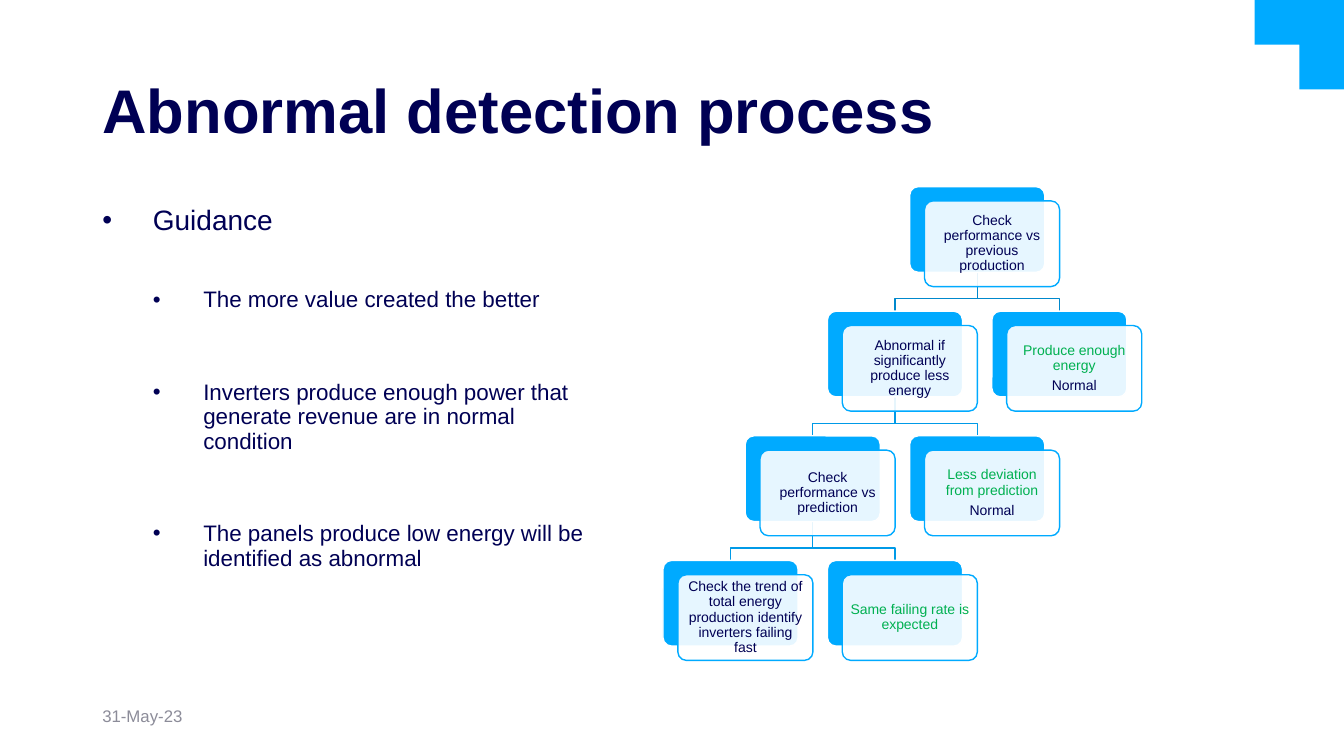
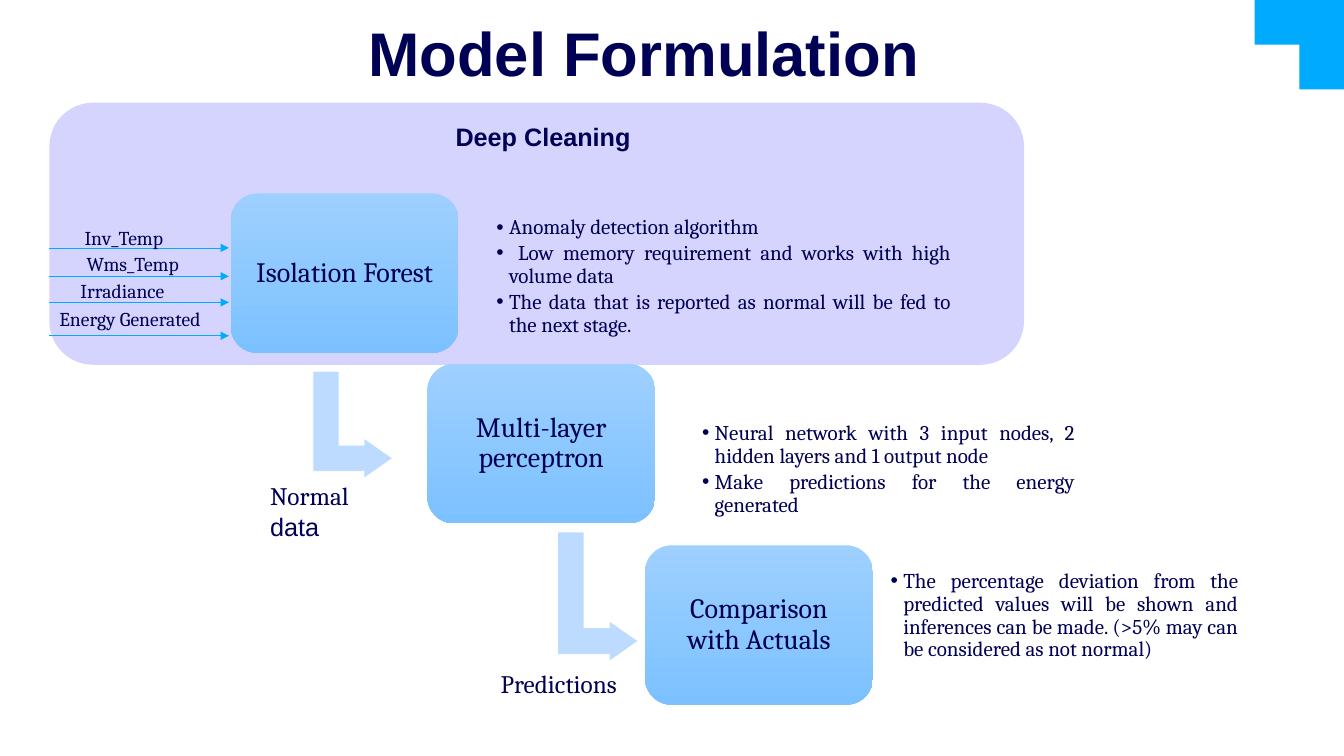
from dataclasses import dataclass

from lxml import etree
from pptx import Presentation
from pptx.dml.color import RGBColor
from pptx.enum.shapes import MSO_CONNECTOR, MSO_SHAPE
from pptx.enum.text import MSO_ANCHOR, MSO_AUTO_SIZE, PP_ALIGN
from pptx.oxml.ns import qn
from pptx.util import Pt

LEFT, CENTER, JUSTIFY = PP_ALIGN.LEFT, PP_ALIGN.CENTER, PP_ALIGN.JUSTIFY
TOP, MIDDLE = MSO_ANCHOR.TOP, MSO_ANCHOR.MIDDLE
ROUND, CORNER = MSO_SHAPE.ROUNDED_RECTANGLE, MSO_SHAPE.CORNER
BENT_ARROW = MSO_SHAPE.BENT_UP_ARROW
SLIDE_W, SLIDE_H = 960, 540
TITLE_CONTENT, TITLE_ONLY = 1, 5


@dataclass(frozen=True)
class Theme:
    ink: str = "000054"
    grey: str = "8C8C99"
    green: str = "00B050"
    white: str = "FFFFFF"
    accent: str = "00AAFF"
    root_line: str = "0088CC"
    branch_line: str = "009AE7"
    panel: str = "D4D4FF"
    stage_top: str = "9ED0FF"
    stage_end: str = "7CC1FF"
    arrow: str = "BDDAFF"
    sans: str = "Arial"
    serif: str = "Cambria"
    title: int = 44
    heading: int = 20
    label: int = 18
    body: int = 16
    detail: int = 15
    input: int = 14
    date: int = 12
    node: int = 10


T = Theme()


@dataclass(frozen=True)
class Box:
    x: float
    y: float
    w: float
    h: float

    def emu(self):
        return [Pt(v) for v in (self.x, self.y, self.w, self.h)]

    def at(self, dx, dy, w, h):
        """Box placed relative to this one's top left corner."""
        return Box(self.x + dx, self.y + dy, w, h)


def rgb(color):
    return RGBColor.from_string(color)


def apply(obj, **values):
    for name, value in values.items():
        setattr(obj, name, value)


def font(size, name=T.sans, color=T.ink, bold=False):
    return {"size": Pt(size), "name": name, "bold": bold, "color": color}


def setup_frame(tf, anchor=TOP, inset=None):
    apply(tf, word_wrap=True, auto_size=MSO_AUTO_SIZE.NONE, vertical_anchor=anchor)
    if inset is not None:
        for side in ("left", "top", "right", "bottom"):
            setattr(tf, f"margin_{side}", Pt(inset))


def write(tf, paragraphs, **layout):
    """Each paragraph is a list of (text, font) runs; layout goes to all of them."""
    for i, runs in enumerate(paragraphs):
        p = tf.add_paragraph() if i else tf.paragraphs[0]
        apply(p, **layout)
        for text, values in runs:
            r = p.add_run()
            r.text = text
            apply(r.font, **{k: v for k, v in values.items() if k != "color"})
            r.font.color.rgb = rgb(values["color"])


def set_bullet(p, left, hang):
    pPr = p._p.get_or_add_pPr()
    pPr.set("marL", str(Pt(left)))
    pPr.set("indent", str(-Pt(hang)))
    etree.SubElement(pPr, qn("a:buFont")).set("typeface", T.sans)
    etree.SubElement(pPr, qn("a:buChar")).set("char", "•")


def add_text(s, box, paragraphs, anchor=TOP, inset=None, **layout):
    tf = s.shapes.add_textbox(*box.emu()).text_frame
    setup_frame(tf, anchor, inset)
    write(tf, paragraphs, **layout)
    return tf


def set_line(shape, color, width=1):
    if color:
        shape.line.color.rgb = rgb(color)
        shape.line.width = Pt(width)
    else:
        shape.line.fill.background()


def add_shape(s, kind, box, fill, line=None, width=1, adj=(), rotation=0):
    shape = s.shapes.add_shape(kind, *box.emu())
    shape.shadow.inherit = False
    shape.rotation = rotation
    for i, value in enumerate(adj):
        shape.adjustments[i] = value
    shape.fill.solid()
    shape.fill.fore_color.rgb = rgb(fill)
    set_line(shape, line, width)
    return shape


def add_slide(prs, layout, title, box, align):
    s = prs.slides.add_slide(prs.slide_layouts[layout])
    ph = s.shapes.title
    ph.left, ph.top, ph.width, ph.height = box.emu()
    setup_frame(ph.text_frame, MIDDLE)
    write(ph.text_frame, [[(title, font(T.title, bold=True))]],
          alignment=align, line_spacing=0.9)
    add_shape(s, CORNER, Box(SLIDE_W - 63.8, 0, 63.8, 63.8), T.accent, rotation=180)
    return s


def guidance_list(s, box):
    # text, type size, left indent, space before
    items = [
        ("Guidance", T.heading, 36, 10),
        ("The more value created the better", T.body, 72, 37),
        ("Inverters produce enough power that generate revenue are in normal condition",
         T.body, 72, 49),
        ("The panels produce low energy will be identified as abnormal", T.body, 72, 49),
    ]
    ph = s.placeholders[1]
    ph.left, ph.top, ph.width, ph.height = box.emu()
    tf = ph.text_frame
    setup_frame(tf)
    write(tf, [[(text, font(size))] for text, size, _, _ in items],
          alignment=LEFT, line_spacing=0.9)
    for p, (_, _, left, before) in zip(tf.paragraphs, items):
        p.level = int(left > 36)
        p.space_before = Pt(before)
        set_bullet(p, left, 36)


def tree_node(s, box, ink_text, green_text):
    add_shape(s, ROUND, box, T.accent, T.white, adj=[0.1])
    card = add_shape(s, ROUND, box.at(10.6, 10.2, box.w, box.h), T.white, T.accent, adj=[0.1])
    color = card._element.spPr.find(".//" + qn("a:srgbClr"))
    etree.SubElement(color, qn("a:alpha")).set("val", "90000")
    setup_frame(card.text_frame, MIDDLE, 4)
    texts = [(green_text, T.green), (ink_text, T.ink)]
    write(card.text_frame, [[(t, font(T.node, color=c))] for t, c in texts if t],
          alignment=CENTER, line_spacing=0.9, space_after=Pt(3.5))


def tree_branch(s, parent, child, color):
    x1, y1 = parent.x + parent.w / 2, parent.y + parent.h
    x2, bend = child.x + child.w / 2, y1 + 18.9
    fb = s.shapes.build_freeform(Pt(x1), Pt(y1))
    points = [(x1, bend), (x2, bend), (x2, child.y)]
    fb.add_line_segments([(Pt(x), Pt(y)) for x, y in points], close=False)
    branch = fb.convert_to_shape()
    branch.shadow.inherit = False
    branch.fill.background()
    set_line(branch, color)


def decision_tree(s, box):
    # column, row, parent index, dark text, green text
    nodes = [
        (3, 0, None, "Check performance vs previous production", ""),
        (2, 1, 0, "Abnormal if significantly produce less energy", ""),
        (4, 1, 0, "Normal", "Produce enough energy"),
        (1, 2, 1, "Check performance vs prediction", ""),
        (3, 2, 1, "Normal", "Less deviation from prediction"),
        (0, 3, 3, "Check the trend of total energy production identify inverters failing fast", ""),
        (2, 3, 3, "", "Same failing rate is expected"),
    ]
    w, h = 96.5, 61.2
    dx, dy = (box.w - w) / 4, (box.h - h) / 3
    places = [box.at(col * dx, row * dy, w, h) for col, row, *_ in nodes]
    for place, (_, row, parent, *_) in zip(places, nodes):
        if parent is not None:
            tree_branch(s, places[parent], place, T.root_line if row == 1 else T.branch_line)
    for place, (*_, ink_text, green_text) in zip(places, nodes):
        tree_node(s, place, ink_text, green_text)


def process_slide(prs):
    s = add_slide(prs, TITLE_CONTENT, "Abnormal detection process",
                  Box(66, 28.8, 828, 104.4), LEFT)
    add_text(s, Box(66, 500.4, 216, 28.8), [[("31-May-23", font(T.date, color=T.grey))]],
             space_after=Pt(6))
    decision_tree(s, Box(473.6, 133.3, 331.4, 328.2))
    guidance_list(s, Box(66, 144, 368.6, 319.7))


def cleaning_panel(s, box):
    add_shape(s, ROUND, box, T.panel)
    add_text(s, box.at(283, 10, 162, 28.8), [[("Deep Cleaning", font(T.label, bold=True))]])


def model_stage(s, box, name, notes_box, notes):
    stage = add_shape(s, ROUND, box, T.stage_top)
    stage.fill.gradient()
    stage.fill.gradient_angle = 270
    for stop, color in zip(stage.fill.gradient_stops, (T.stage_top, T.stage_end)):
        stop.color.rgb = rgb(color)
    setup_frame(stage.text_frame, MIDDLE, 11)
    write(stage.text_frame, [[(name, font(T.heading, T.serif))]],
          alignment=CENTER, line_spacing=0.9, space_after=Pt(7))
    tf = add_text(s, notes_box, [[(n, font(T.detail, T.serif))] for n in notes], MIDDLE, 4,
                  alignment=JUSTIFY, line_spacing=0.9, space_after=Pt(2.25))
    for p in tf.paragraphs:
        set_bullet(p, 9, 9)


def stage_arrow(s, box, label_box, runs):
    add_shape(s, BENT_ARROW, box, T.arrow, T.white, 0.5, [0.328, 0.25, 0.358], 90)
    add_text(s, label_box, [runs])


def model_inputs(s, box):
    # label, label offset, label top, arrow height
    inputs = [
        ("Inv_Temp", 18, 0, 19.4),
        ("Wms_Temp", 19.4, 18.7, 39.6),
        ("Irradiance", 15.1, 38.2, 58.3),
        ("Energy Generated", 0, 58.3, 82.1),
    ]
    for text, dx, top, y in inputs:
        line = s.shapes.add_connector(MSO_CONNECTOR.STRAIGHT, Pt(box.x), Pt(box.y + y),
                                      Pt(box.x + box.w), Pt(box.y + y))
        set_line(line, T.accent, 0.5)
        etree.SubElement(line.line._get_or_add_ln(), qn("a:tailEnd")).set("type", "triangle")
        etree.SubElement(line._element.spPr, qn("a:effectLst"))
        add_text(s, box.at(dx, top, 123, 24.5), [[(text, font(T.input, T.serif))]])


def model_slide(prs):
    s = add_slide(prs, TITLE_ONLY, "Model Formulation", Box(223.9, 13.7, 472.3, 53.3), CENTER)
    cleaning_panel(s, Box(35.3, 73.4, 696.2, 187.2))
    label = font(T.label, T.serif)
    stage_arrow(s, Box(213.8, 275, 76.3, 56.9), Box(185.8, 339.8, 105, 50),
                [("Normal", label), (" data", font(T.label))])
    stage_arrow(s, Box(380.9, 397.4, 92.2, 57.6), Box(350.6, 473.8, 109.4, 29.5),
                [("Predictions", label)])
    w, h = 162.7, 113.8
    model_stage(s, Box(164.9, 138.2, w, h), "Isolation Forest",
                Box(350.6, 136.1, 332.6, 123.1),
                ["Anomaly detection algorithm",
                 " Low memory requirement and works with high volume data",
                 "The data that is reported as normal will be fed to the next stage."])
    model_stage(s, Box(305.3, 259.9, w, h), "Multi-layer perceptron",
                Box(497.5, 289.4, 274.3, 92.2),
                ["Neural network with 3 input nodes, 2 hidden layers and 1 output node",
                 "Make predictions for the energy generated"])
    model_stage(s, Box(460.8, 389.5, w, h), "Comparison with Actuals",
                Box(632.2, 393.8, 256.3, 92.2),
                ["The percentage deviation from the predicted values will be shown and "
                 "inferences can be made. (>5% may can be considered as not normal)"])
    model_inputs(s, Box(35.3, 157.7, 128.2, 82.1))


def main():
    prs = Presentation()
    prs.slide_width, prs.slide_height = Pt(SLIDE_W), Pt(SLIDE_H)
    process_slide(prs)
    model_slide(prs)
    prs.save("out.pptx")


if __name__ == "__main__":
    main()
